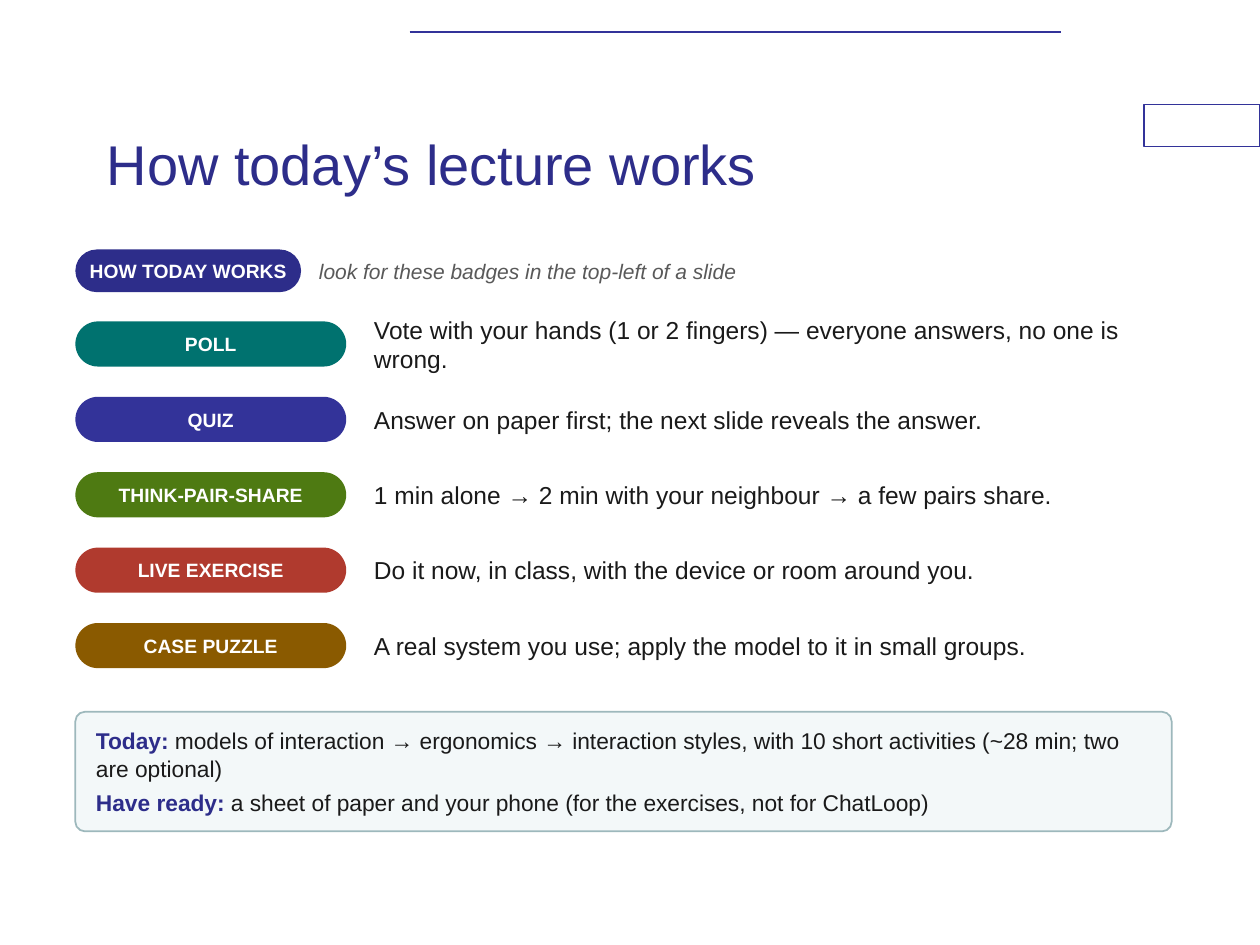
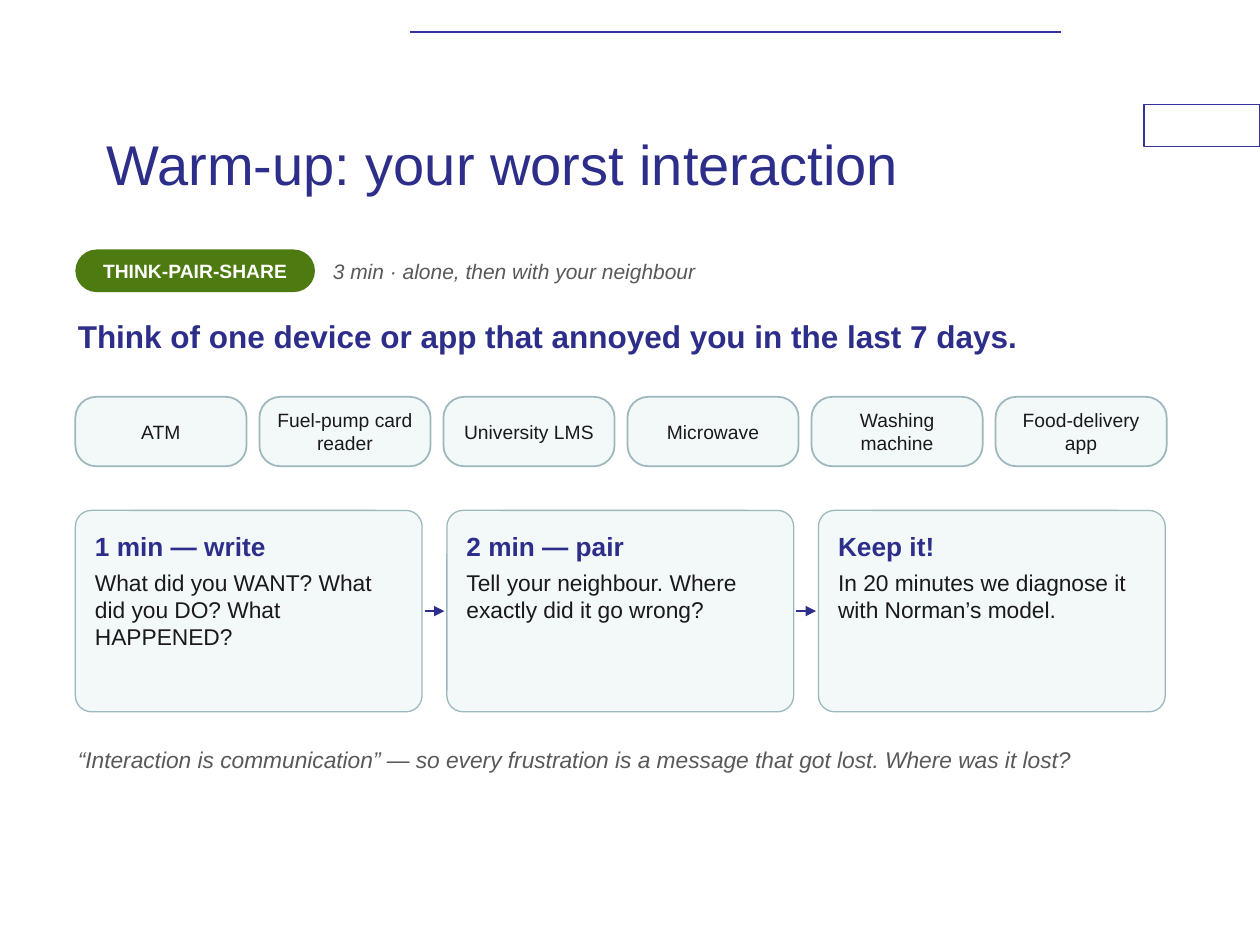
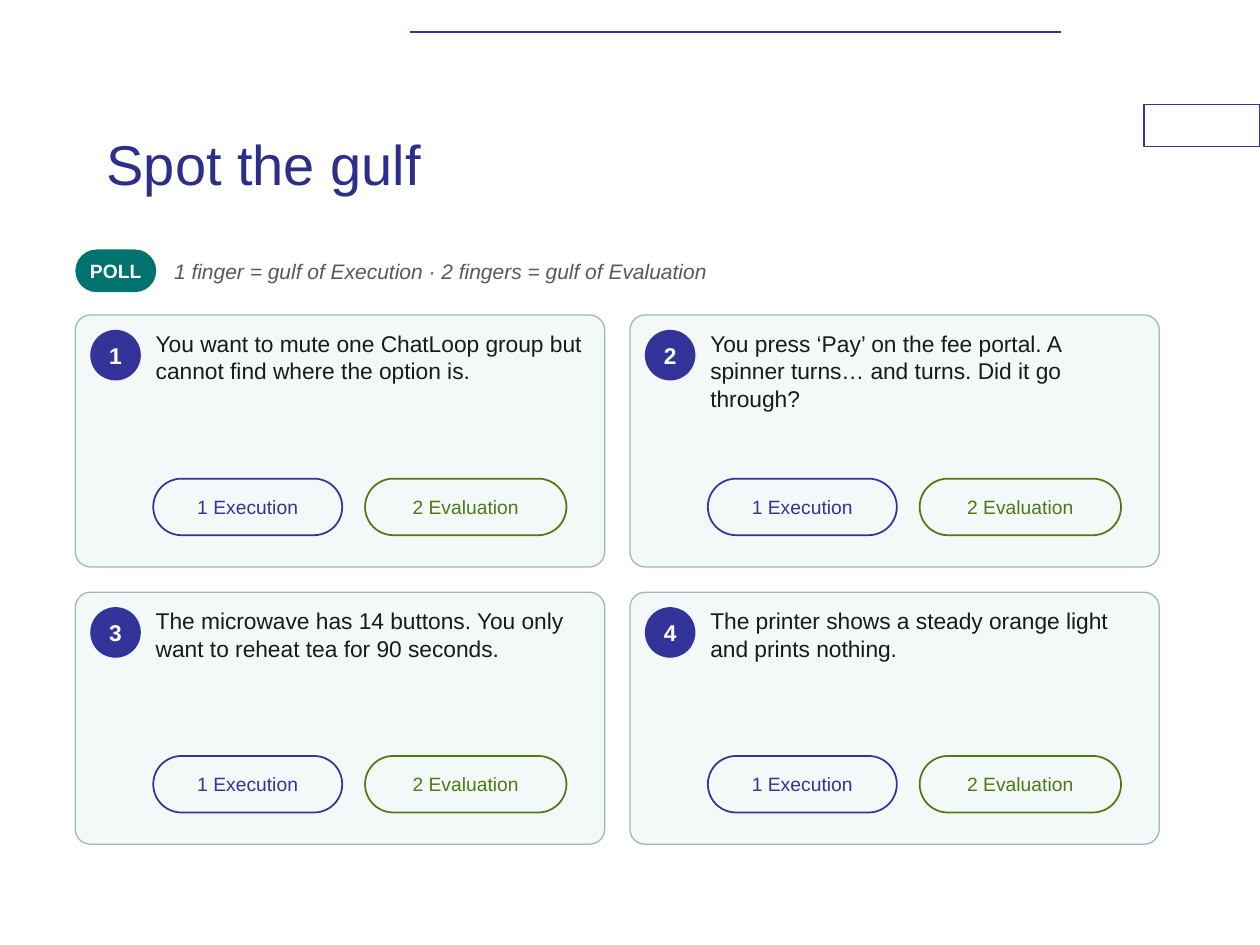
from itertools import product

from lxml import etree
from pptx import Presentation
from pptx.dml.color import RGBColor
from pptx.enum.shapes import MSO_CONNECTOR, MSO_SHAPE
from pptx.enum.text import MSO_ANCHOR, PP_ALIGN
from pptx.oxml.ns import qn
from pptx.util import Cm, Pt

FONT = "Arial"
NAVY, INDIGO, TEAL, GREEN = "2D2D8A", "333399", "00726F", "4E7A12"
RED, BROWN, INK, GREY = "B03A2E", "8A5A00", "1A1A1A", "595959"
WHITE, PANEL, EDGE = "FFFFFF", "F3F8F9", "9DB8BC"
LEFT, WIDTH = 1.52, 22.1


def rgb(hex_color):
    return RGBColor.from_string(hex_color)


def run(text, size, color, bold=False, italic=False):
    """Describe one run for write()."""
    return text, size, color, bold, italic


def write(tf, paragraphs, inset, anchor=MSO_ANCHOR.TOP, align=PP_ALIGN.LEFT, after=0):
    """Fill a text frame; each paragraph is a list of runs."""
    tf.word_wrap = True
    tf.vertical_anchor = anchor
    tf.margin_left = tf.margin_right = tf.margin_top = tf.margin_bottom = Cm(inset)
    for i, runs in enumerate(paragraphs):
        p = tf.paragraphs[0] if i == 0 else tf.add_paragraph()
        p.alignment = align
        if i < len(paragraphs) - 1:
            p.space_after = Pt(after)
        for text, size, color, bold, italic in runs:
            r = p.add_run()
            r.text = text
            r.font.name, r.font.size = FONT, Pt(size)
            r.font.bold, r.font.italic = bold, italic
            r.font.color.rgb = rgb(color)


def add_text(s, x, y, w, h, text_run, inset=0.05, anchor=MSO_ANCHOR.TOP):
    box = s.shapes.add_textbox(Cm(x), Cm(y), Cm(w), Cm(h))
    write(box.text_frame, [[text_run]], inset, anchor)


def add_box(s, kind, x, y, w, h, fill=None, line=None, weight=0.75, radius=None):
    sp = s.shapes.add_shape(kind, Cm(x), Cm(y), Cm(w), Cm(h))
    sp.shadow.inherit = False
    if radius is not None:
        sp.adjustments[0] = radius
    if fill:
        sp.fill.solid()
        sp.fill.fore_color.rgb = rgb(fill)
    else:
        sp.fill.background()
    if line:
        sp.line.color.rgb = rgb(line)
        sp.line.width = Pt(weight)
    else:
        sp.line.fill.background()
    return sp


def add_panel(s, x, y, w, h, radius, weight=0.75):
    return add_box(s, MSO_SHAPE.ROUNDED_RECTANGLE, x, y, w, h, PANEL, EDGE, weight, radius)


def add_pill(s, x, y, w, h, label, fill=None, line=None):
    """Fully rounded label: white bold on a fill, or coloured inside an outline."""
    sp = add_box(s, MSO_SHAPE.ROUNDED_RECTANGLE, x, y, w, h, fill, line, 1, 0.5)
    text_run = run(label, 11, WHITE if fill else line, bold=bool(fill))
    write(sp.text_frame, [[text_run]], 0.05, MSO_ANCHOR.MIDDLE, PP_ALIGN.CENTER)


def add_line(s, x1, x2, y, color, weight, arrow=False):
    """Horizontal line, optionally with an arrowhead at its end."""
    cx = s.shapes.add_connector(MSO_CONNECTOR.STRAIGHT, Cm(x1), Cm(y), Cm(x2), Cm(y))
    cx.line.color.rgb = rgb(color)
    cx.line.width = Pt(weight)
    if arrow:
        etree.SubElement(cx.line._get_or_add_ln(), qn("a:tailEnd"), type="triangle")
    etree.SubElement(cx._element.spPr, qn("a:effectLst"))


def new_slide(prs, title, badge, badge_width, badge_color, hint):
    """Add a slide with the shared frame, title, badge and hint."""
    s = prs.slides.add_slide(prs.slide_layouts[6])
    add_box(s, MSO_SHAPE.RECTANGLE, 23.06, 2.11, 2.34, 0.84, WHITE, INDIGO)
    add_line(s, 8.26, 21.39, 0.64, INDIGO, 1)
    add_text(s, 1.9, 1.7, 19.05, 3.18, run(title, 32, NAVY), 0.25, MSO_ANCHOR.MIDDLE)
    add_pill(s, LEFT, 5.03, badge_width, 0.86, badge, badge_color)
    add_text(s, LEFT + badge_width + 0.31, 5.03, 15.24, 0.86,
             run(hint, 12, GREY, italic=True), anchor=MSO_ANCHOR.MIDDLE)
    return s


def add_legend_row(s, y, label, color, meaning):
    add_pill(s, LEFT, y, 5.46, 0.91, label, color)
    add_text(s, 7.49, y - 0.13, 16, 1.17, run(meaning, 14, INK), anchor=MSO_ANCHOR.MIDDLE)


def add_chip(s, x, label):
    sp = add_panel(s, x, 8, 3.45, 1.4, 0.3, 1)
    write(sp.text_frame, [[run(label, 11, INK)]], 0.1, MSO_ANCHOR.MIDDLE, PP_ALIGN.CENTER)


def add_step_card(s, x, y, w, h, heading, body):
    sp = add_panel(s, x, y, w, h, 0.08)
    write(sp.text_frame, [[run(heading, 15, NAVY, bold=True)], [run(body, 13, INK)]],
          0.3, after=4)


def add_poll_card(s, x, y, number, question):
    add_panel(s, x, y, 10.67, 5.08, 0.06)
    dot = add_box(s, MSO_SHAPE.OVAL, x + 0.3, y + 0.3, 1.02, 1.02, INDIGO)
    write(dot.text_frame, [[run(str(number), 13, WHITE, bold=True)]], 0,
          MSO_ANCHOR.MIDDLE, PP_ALIGN.CENTER)
    add_text(s, x + 1.57, y + 0.25, 8.76, 2.54, run(question, 13, INK))
    add_pill(s, x + 1.57, y + 3.3, 3.81, 1.14, "1 Execution", line=INDIGO)
    add_pill(s, x + 5.84, y + 3.3, 4.06, 1.14, "2 Evaluation", line=GREEN)


def build_how_it_works(prs):
    s = new_slide(prs, "How today’s lecture works", "HOW TODAY WORKS", 4.55, NAVY,
                  "look for these badges in the top-left of a slide")
    legend = [
        ("POLL", TEAL,
         "Vote with your hands (1 or 2 fingers) — everyone answers, no one is wrong."),
        ("QUIZ", INDIGO, "Answer on paper first; the next slide reveals the answer."),
        ("THINK-PAIR-SHARE", GREEN,
         "1 min alone → 2 min with your neighbour → a few pairs share."),
        ("LIVE EXERCISE", RED, "Do it now, in class, with the device or room around you."),
        ("CASE PUZZLE", BROWN,
         "A real system you use; apply the model to it in small groups."),
    ]
    for i, row in enumerate(legend):
        add_legend_row(s, 6.48 + i * 1.52, *row)
    summary = add_panel(s, LEFT, 14.35, WIDTH, 2.41, 0.08, 1)
    notes = [
        ("Today: ", "models of interaction → ergonomics → interaction styles, "
                    "with 10 short activities (~28 min; two are optional)"),
        ("Have ready: ", "a sheet of paper and your phone (for the exercises, not for ChatLoop)"),
    ]
    write(summary.text_frame,
          [[run(lead, 13, NAVY, bold=True), run(rest, 13, INK)] for lead, rest in notes],
          0.36, MSO_ANCHOR.MIDDLE, after=4)


def build_warm_up(prs):
    s = new_slide(prs, "Warm-up: your worst interaction", "THINK-PAIR-SHARE", 4.83, GREEN,
                  "3 min · alone, then with your neighbour")
    add_text(s, LEFT, 6.35, WIDTH, 1.27,
             run("Think of one device or app that annoyed you in the last 7 days.",
                 18, NAVY, bold=True))
    devices = ["ATM", "Fuel-pump card reader", "University LMS", "Microwave",
               "Washing machine", "Food-delivery app"]
    for i, device in enumerate(devices):
        add_chip(s, LEFT + i * 3.71, device)

    steps = [
        ("1 min — write", "What did you WANT? What did you DO? What HAPPENED?"),
        ("2 min — pair", "Tell your neighbour. Where exactly did it go wrong?"),
        ("Keep it!", "In 20 minutes we diagnose it with Norman’s model."),
    ]
    y, w, h, gap = 10.29, 6.99, 4.06, 0.5
    for i, (heading, body) in enumerate(steps):
        x = LEFT + i * (w + gap)
        if i:
            add_line(s, x - gap + 0.05, x - 0.05, y + h / 2, NAVY, 1.5, arrow=True)
        add_step_card(s, x, y, w, h, heading, body)
    add_text(s, LEFT, 14.99, WIDTH, 2.29,
             run("“Interaction is communication” — so every frustration is a message "
                 "that got lost. Where was it lost?", 13, GREY, italic=True))


def build_spot_the_gulf(prs):
    s = new_slide(prs, "Spot the gulf", "POLL", 1.63, TEAL,
                  "1 finger = gulf of Execution · 2 fingers = gulf of Evaluation")
    questions = [
        "You want to mute one ChatLoop group but cannot find where the option is.",
        "You press ‘Pay’ on the fee portal. A spinner turns… and turns. Did it go through?",
        "The microwave has 14 buttons. You only want to reheat tea for 90 seconds.",
        "The printer shows a steady orange light and prints nothing.",
    ]
    cells = product(range(2), range(2))
    for number, ((row, col), question) in enumerate(zip(cells, questions), 1):
        add_poll_card(s, LEFT + col * 11.18, 6.35 + row * 5.59, number, question)


def main():
    prs = Presentation()
    prs.slide_width, prs.slide_height = Cm(25.4), Cm(19.05)
    build_how_it_works(prs)
    build_warm_up(prs)
    build_spot_the_gulf(prs)
    prs.save("out.pptx")


if __name__ == "__main__":
    main()
